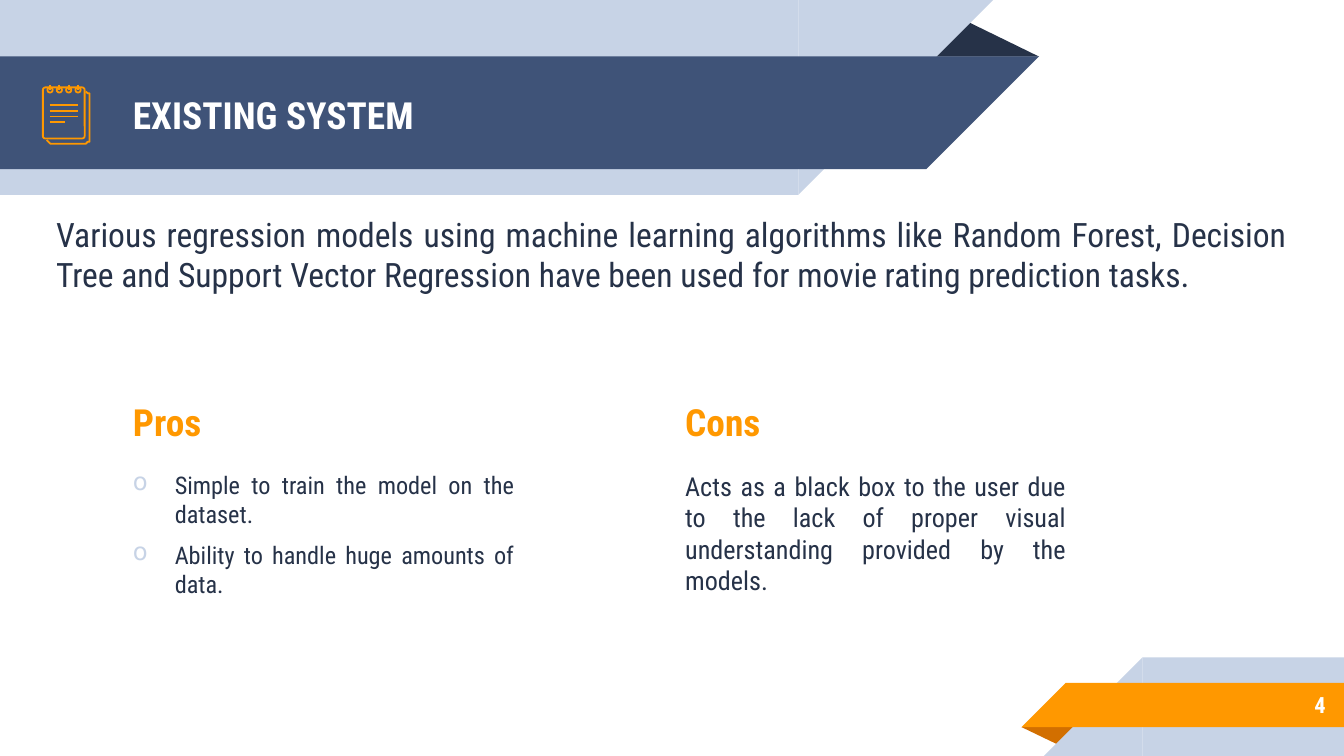
from dataclasses import dataclass

from lxml import etree
from pptx import Presentation
from pptx.dml.color import RGBColor
from pptx.enum.shapes import MSO_CONNECTOR, MSO_SHAPE
from pptx.enum.text import MSO_ANCHOR, PP_ALIGN
from pptx.oxml.ns import qn
from pptx.util import Pt

RECTANGLE = MSO_SHAPE.RECTANGLE
RIGHT_TRIANGLE = MSO_SHAPE.RIGHT_TRIANGLE
TRIANGLE = MSO_SHAPE.ISOSCELES_TRIANGLE
ROUNDED = MSO_SHAPE.ROUNDED_RECTANGLE
OVAL = MSO_SHAPE.OVAL
STRAIGHT = MSO_CONNECTOR.STRAIGHT
TOP, MIDDLE = MSO_ANCHOR.TOP, MSO_ANCHOR.MIDDLE
LEFT, RIGHT, JUSTIFY = PP_ALIGN.LEFT, PP_ALIGN.RIGHT, PP_ALIGN.JUSTIFY


@dataclass(frozen=True)
class Theme:
    font: str = "Roboto Condensed"
    white: str = "FFFFFF"
    pale: str = "C7D3E6"
    navy: str = "3F5378"
    ink: str = "263248"
    orange: str = "FF9800"
    dark_orange: str = "D26F00"
    heading: int = 20
    lead: int = 18
    body: int = 14
    bullet: int = 13
    number: int = 12
    icon_line: float = 0.96
    inset: float = 7.2
    bullet_indent: float = 22.5


class SlideBuilder:
    def __init__(self, slide, theme):
        self.slide = slide
        self.theme = theme

    def filled(self, kind, left, top, width, height, color, rotation=0):
        shape = self.slide.shapes.add_shape(
            kind, Pt(left), Pt(top), Pt(width), Pt(height))
        shape.shadow.inherit = False
        shape.fill.solid()
        shape.fill.fore_color.rgb = RGBColor.from_string(color)
        shape.line.fill.background()
        shape.rotation = rotation
        return shape

    def fold(self, left, top, width, height, color, rotation=0):
        shape = self.filled(TRIANGLE, left, top, width, height, color, rotation)
        shape.adjustments[0] = 0.324

    def band(self, left, top, width, height, color, slant_left=False):
        """Draw a bar with a 45 degree end outside the given width."""
        self.filled(RECTANGLE, left, top, width, height, color)
        tip = left - height if slant_left else left + width
        rotation = 270 if slant_left else 90
        self.filled(RIGHT_TRIANGLE, tip, top, height, height, color, rotation)

    def stroke(self, line):
        line.color.rgb = RGBColor.from_string(self.theme.orange)
        line.width = Pt(self.theme.icon_line)

    def outline(self, kind, left, top, width, height):
        shape = self.slide.shapes.add_shape(
            kind, Pt(left), Pt(top), Pt(width), Pt(height))
        shape.shadow.inherit = False
        shape.fill.background()
        self.stroke(shape.line)
        return shape

    def polyline(self, points):
        scale = Pt(1)
        builder = self.slide.shapes.build_freeform(*points[0], scale=scale)
        builder.add_line_segments(points[1:], close=False)
        shape = builder.convert_to_shape()
        shape.shadow.inherit = False
        shape.fill.background()
        self.stroke(shape.line)

    def line(self, x1, y1, x2, y2):
        connector = self.slide.shapes.add_connector(
            STRAIGHT, Pt(x1), Pt(y1), Pt(x2), Pt(y2))
        self.stroke(connector.line)
        etree.SubElement(connector._element.spPr, qn("a:effectLst"))

    def text(self, left, top, width, height, paragraphs, size, color,
             bold=False, align=LEFT, anchor=TOP, before=0, bullets=False):
        box = self.slide.shapes.add_textbox(
            Pt(left), Pt(top), Pt(width), Pt(height))
        frame = box.text_frame
        frame.word_wrap = True
        frame.vertical_anchor = anchor
        frame.margin_left = frame.margin_right = Pt(self.theme.inset)
        frame.margin_top = frame.margin_bottom = Pt(self.theme.inset)
        frame.text = "\n".join(paragraphs)
        for paragraph in frame.paragraphs:
            paragraph.alignment = align
            paragraph.space_before = Pt(before)
            paragraph.font.name = self.theme.font
            paragraph.font.size = Pt(size)
            paragraph.font.bold = bold
            paragraph.font.color.rgb = RGBColor.from_string(color)
            if bullets:
                self.add_bullet(paragraph)

    def add_bullet(self, paragraph):
        properties = paragraph._p.get_or_add_pPr()
        indent = Pt(self.theme.bullet_indent)
        properties.set("marL", str(indent))
        properties.set("indent", str(-indent))
        bullet_color = etree.Element(qn("a:buClr"))
        etree.SubElement(bullet_color, qn("a:srgbClr"), val=self.theme.pale)
        bullet = etree.Element(qn("a:buChar"), char="o")
        defaults = properties.find(qn("a:defRPr"))
        for element in (bullet_color, bullet):
            defaults.addprevious(element)

    def notepad(self):
        # Back page, then front page
        self.polyline([(25.2, 75.3), (25.6, 76.5), (26.6, 77), (46.5, 77),
                       (47.3, 76.5), (47.6, 75.5), (47.6, 50.5),
                       (47.3, 49.7), (46.5, 49.4)])
        page = self.outline(ROUNDED, 23, 46.8, 22.4, 27.4)
        page.adjustments[0] = 0.06
        # Written lines, the last one short
        for row in range(4):
            y = 56.2 + 3.1 * row
            self.line(26.6, y, 34.6 if row == 3 else 41.8, y)
        # Binding rings
        for ring in range(4):
            x = 26.8 + 5 * ring
            self.outline(OVAL, x - 1.4, 46.8, 2.8, 2.8)
            self.line(x, 45.3, x, 48.2)


def main():
    presentation = Presentation()
    presentation.slide_width, presentation.slide_height = Pt(720), Pt(405)
    slide = presentation.slides.add_slide(presentation.slide_layouts[6])
    theme = Theme()
    builder = SlideBuilder(slide, theme)

    # Header ribbon
    builder.fold(495.4, 10.1, 61.2, 20.2, theme.ink)
    builder.band(0, 0, 427.7, 104.4, theme.pale)
    builder.band(0, 30.2, 496.1, 60.5, theme.navy)

    # Footer ribbon
    builder.fold(547.2, 389.5, 31, 10.1, theme.dark_orange, rotation=180)
    builder.band(612, 352.2, 108, 52.8, theme.pale, slant_left=True)
    builder.band(571, 365.8, 149, 23.8, theme.orange, slant_left=True)

    # Title, page number and introduction
    builder.text(64.1, 31, 414, 60.5, ["EXISTING SYSTEM"], theme.heading,
                 theme.white, bold=True, anchor=MIDDLE)
    builder.text(599.8, 365, 117.4, 25.2, ["4"], theme.number, theme.white,
                 bold=True, align=RIGHT, anchor=MIDDLE)
    builder.text(23, 107.3, 674, 123.8,
                 ["Various regression models using machine learning algorithms "
                  "like Random Forest, Decision Tree and Support Vector "
                  "Regression have been used for movie rating prediction tasks."],
                 theme.lead, theme.ink, align=JUSTIFY, before=6)
    builder.notepad()

    # Pros and cons columns
    columns = [
        (64.1, "Pros", ["Simple to train the model on the dataset.",
                        "Ability to handle huge amounts of data."],
         theme.bullet, True),
        (360, "Cons", ["Acts as a black box to the user due to the lack of proper "
                       "visual understanding provided by the models."],
         theme.body, False),
    ]
    for left, heading, paragraphs, size, bullets in columns:
        builder.text(left, 204.5, 64.8, 43.2, [heading], theme.heading,
                     theme.orange, bold=True, anchor=MIDDLE, before=6)
        builder.text(left, 244.8, 218.2, 67.7, paragraphs, size, theme.ink,
                     align=JUSTIFY, before=6, bullets=bullets)

    presentation.save("out.pptx")


if __name__ == "__main__":
    main()
